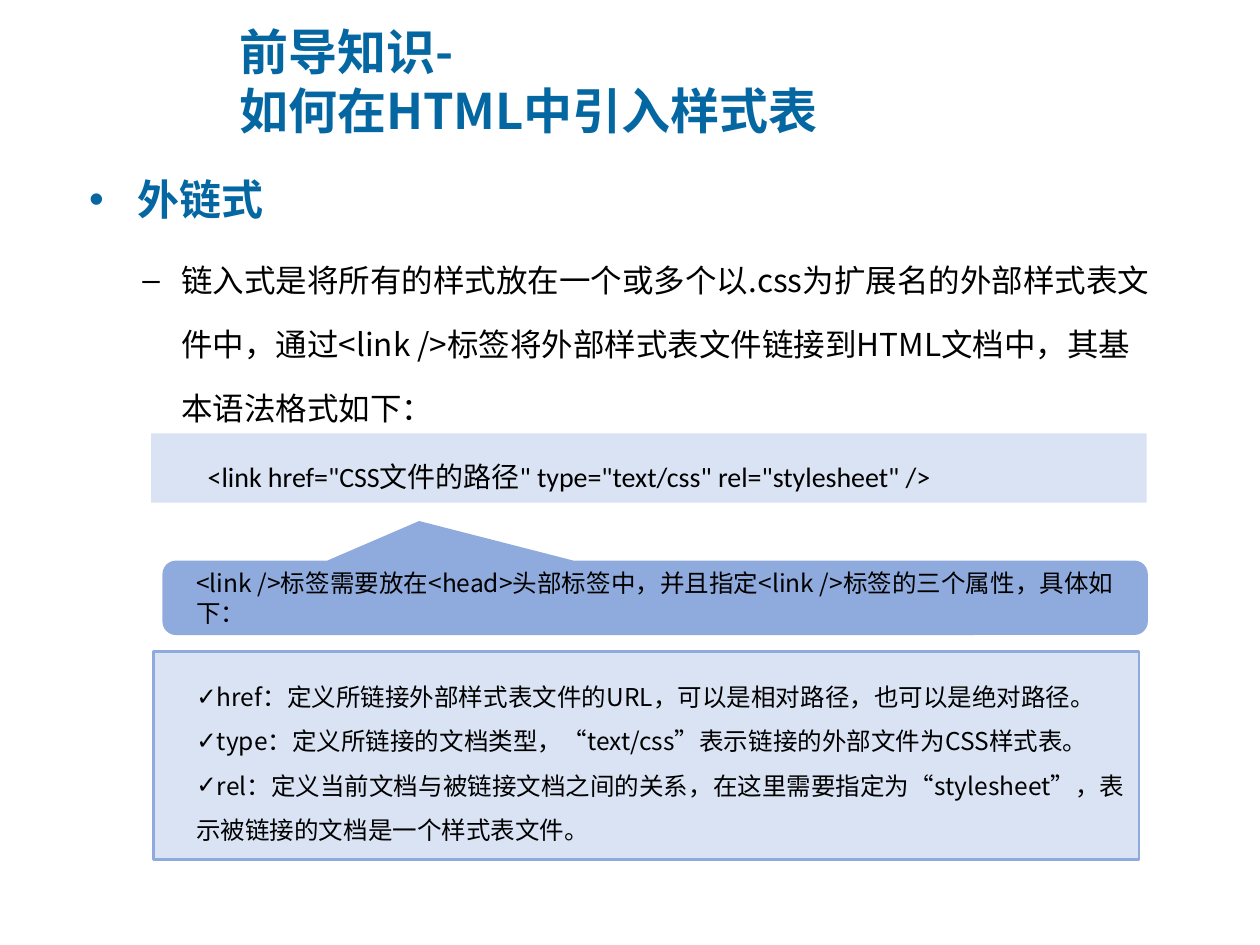
from lxml import etree
from pptx import Presentation
from pptx import util as u
from pptx.dml.color import RGBColor
from pptx.enum import shapes, text
from pptx.oxml.ns import qn

BLUE = RGBColor(0x05, 0x67, 0xA2)
BLACK = RGBColor(0, 0, 0)
PALE = RGBColor(0xDA, 0xE3, 0xF3)
MID = RGBColor(0x8F, 0xAA, 0xDC)
SANS, LATIN = "Noto Sans CJK SC", "Calibri"

TITLE = ["前导知识-", "如何在HTML中引入样式表"]
HEADING = ["外链式"]
BODY = ["链入式是将所有的样式放在一个或多个以.css为扩展名的外部样式表文件中，"
        "通过<link />标签将外部样式表文件链接到HTML文档中，其基本语法格式如下："]
CODE = ['<link href="CSS文件的路径" type="text/css" rel="stylesheet" />']
CALLOUT = ["<link />标签需要放在<head>头部标签中，并且指定<link />标签的三个属性，具体如下："]
ATTRIBUTES = [
    "href：定义所链接外部样式表文件的URL，可以是相对路径，也可以是绝对路径。",
    "type：定义所链接的文档类型，“text/css”表示链接的外部文件为CSS样式表。",
    "rel：定义当前文档与被链接文档之间的关系，在这里需要指定为“stylesheet”，"
    "表示被链接的文档是一个样式表文件。",
]

TITLE_FONT = {"name": SANS, "size": u.Pt(28), "bold": True}
HEADING_FONT = {"name": LATIN, "size": u.Pt(24), "bold": True}
BODY_FONT = {"name": SANS, "size": u.Pt(18)}
CODE_FONT = {"name": LATIN, "size": u.Pt(16)}
NOTE_FONT = {"name": SANS, "size": u.Pt(14)}


def set_values(target, values):
    for name, value in values.items():
        setattr(target, name, value)


def place(shape, box):
    names = ("left", "top", "width", "height")
    set_values(shape, dict(zip(names, map(u.Inches, box))))


def write(shape, lines, font, color=BLACK, indent=(0, 0), bullet=None,
          anchor=text.MSO_ANCHOR.TOP, wrap=True, **paragraph_format):
    frame = shape.text_frame
    set_values(frame, {"auto_size": text.MSO_AUTO_SIZE.NONE,
                       "word_wrap": wrap, "vertical_anchor": anchor})
    for number, line in enumerate(lines):
        paragraph = frame.add_paragraph() if number else frame.paragraphs[0]
        set_values(paragraph, {"alignment": text.PP_ALIGN.LEFT, **paragraph_format})
        properties = paragraph._p.get_or_add_pPr()
        properties.set("marL", str(u.Inches(indent[0])))
        properties.set("indent", str(u.Inches(indent[1])))
        if bullet:
            etree.SubElement(properties, qn("a:buFont"), typeface="Arial")
            etree.SubElement(properties, qn("a:buChar"), char=bullet)
        run = paragraph.add_run()
        run.text = line
        set_values(run.font, font)
        run.font.color.rgb = color
        etree.SubElement(run._r.get_or_add_rPr(), qn("a:ea"), typeface=SANS)


def add_panel(slide, kind, box, fill, line=None):
    shape = slide.shapes.add_shape(kind, *map(u.Inches, box))
    shape.shadow.inherit = False
    shape.fill.solid()
    shape.fill.fore_color.rgb = fill
    if line:
        shape.line.color.rgb = line
        shape.line.width = u.Pt(1.5)
    else:
        shape.line.fill.background()
    return shape


def add_text(slide, box, *content, **options):
    write(slide.shapes.add_textbox(*map(u.Inches, box)), *content, **options)


def main():
    presentation = Presentation()
    presentation.slide_width = u.Inches(10)
    presentation.slide_height = u.Inches(7.5)
    slide = presentation.slides.add_slide(presentation.slide_layouts[1])
    rectangle = shapes.MSO_SHAPE.RECTANGLE
    middle = text.MSO_ANCHOR.MIDDLE

    title, body = slide.placeholders
    place(title, (1.8, 0.22, 8.23, 0.84))
    write(title, TITLE, TITLE_FONT, BLUE, indent=(0.62, -0.62), anchor=middle)
    place(body, (0.53, 1.81, 8.72, 1.27))
    write(body, BODY, BODY_FONT, indent=(0.81, -0.31), bullet="–",
          level=1, line_spacing=1.7, space_before=u.Pt(3.6))

    add_text(slide, (0.61, 1.13, 1.6, 0.64), HEADING, HEADING_FONT, BLUE,
             indent=(0.38, -0.38), bullet="•", wrap=False,
             line_spacing=1.5, space_before=u.Pt(4.8))

    code = add_panel(slide, rectangle, (1.2, 3.44, 7.9, 0.55), PALE)
    write(code, CODE, CODE_FONT, indent=(0.35, 0), anchor=middle, line_spacing=1.5)

    callout = add_panel(slide, shapes.MSO_SHAPE.ROUNDED_RECTANGULAR_CALLOUT,
                        (1.3, 4.46, 7.8, 0.57), MID, MID)
    for number, value in enumerate((-0.24, -1.05, 0.17)):
        callout.adjustments[number] = value
    add_text(slide, (1.46, 4.46, 7.63, 0.57), CALLOUT, NOTE_FONT)

    add_panel(slide, rectangle, (1.22, 5.17, 7.82, 1.65), PALE, MID)
    add_text(slide, (1.46, 5.25, 7.63, 1.04), ATTRIBUTES, NOTE_FONT,
             indent=(0, -0.31), bullet="✓", line_spacing=1.5)

    presentation.save("out.pptx")


if __name__ == "__main__":
    main()
